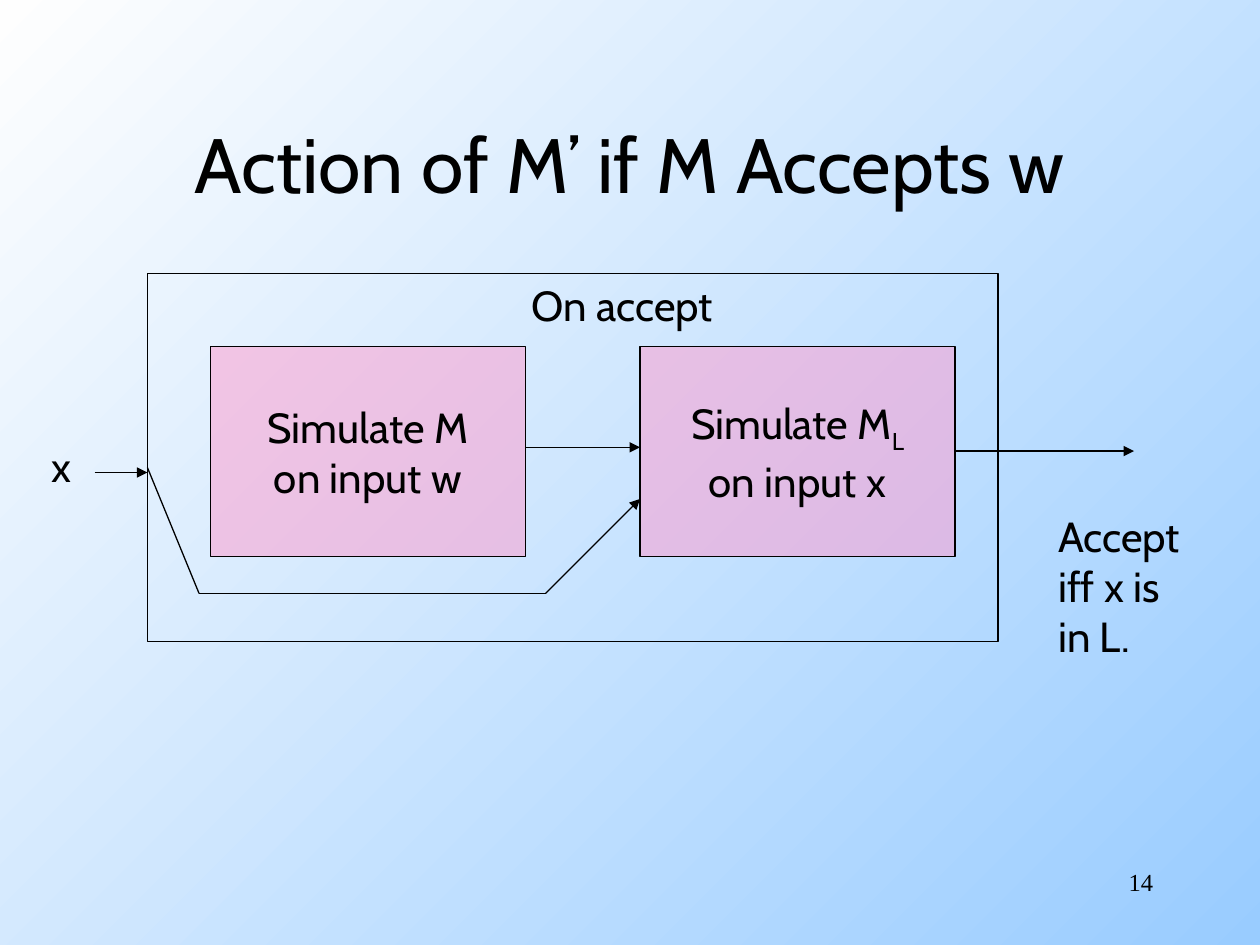
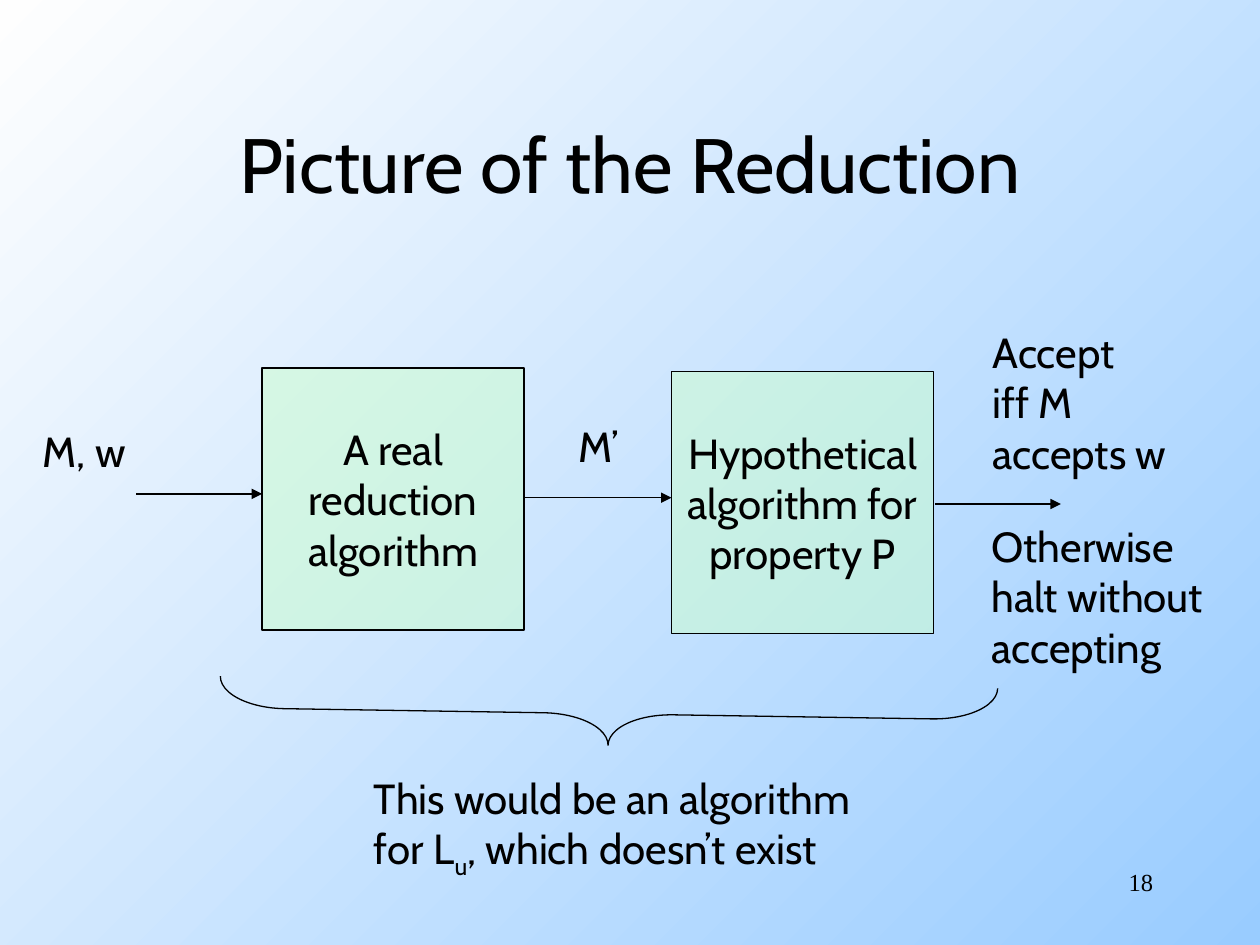
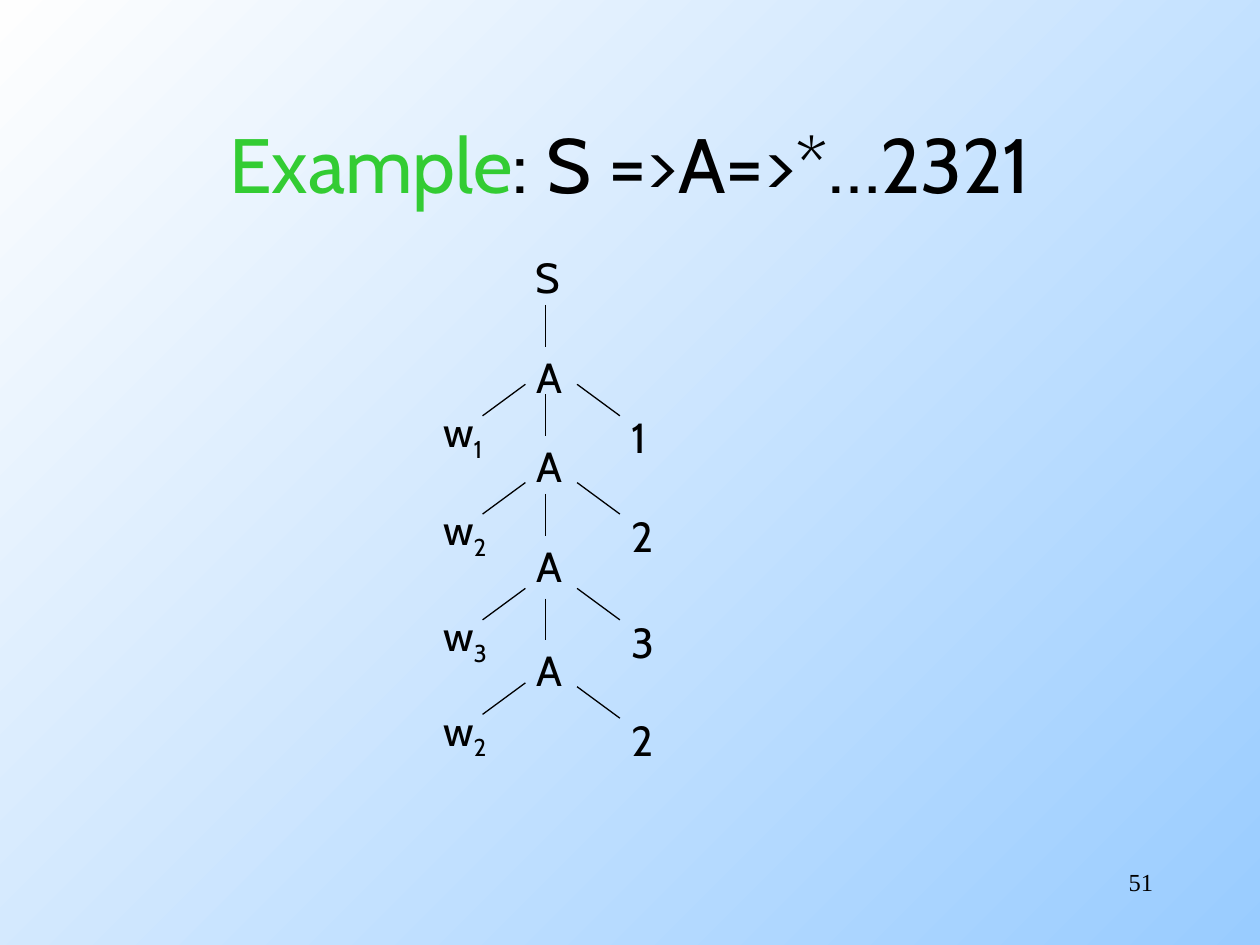
from lxml.etree import SubElement
from pptx import Presentation
from pptx.dml.color import RGBColor
from pptx.enum.shapes import MSO_CONNECTOR, MSO_SHAPE
from pptx.enum.text import MSO_ANCHOR, MSO_AUTO_SIZE, PP_ALIGN
from pptx.oxml.ns import qn
from pptx.util import Inches, Pt

theme = {
    "black": RGBColor.from_string("000000"),
    "green": RGBColor.from_string("33CC33"),
    "pink": RGBColor.from_string("FF99CC"),
    "mint": RGBColor.from_string("CCFFCC"),
    "blue": RGBColor.from_string("99CCFF"),
    "white": RGBColor.from_string("FEFEFE"),
    "line": Pt(0.75),
    "title": {"name": "Cabin", "size": Pt(44)},
    "body": {"name": "Cabin", "size": Pt(24)},
    "number": {"name": "Times New Roman", "size": Pt(14)},
}


def write(frame, text, style, align, **props):
    for key, value in props.items():
        setattr(frame, key, value)
    for i, row in enumerate(text.split("\n")):
        para = frame.paragraphs[0] if i == 0 else frame.add_paragraph()
        para.alignment = align
        first, *rest = row.split("_")
        parts = [(first, False)]
        for part in rest:
            parts += [(part[0], True), (part[1:], False)]
        for words, low in parts:
            if not words:
                continue
            run = para.add_run()
            run.text = words
            for key, value in theme[style].items():
                setattr(run.font, key, value)
            run.font.color.rgb = theme["black"]
            if low:
                run._r.get_or_add_rPr().set("baseline", "-25000")


def join(slide, ends, arrow):
    link = slide.shapes.add_connector(MSO_CONNECTOR.STRAIGHT, *map(Inches, ends))
    link.line.color.rgb = theme["black"]
    link.line.width = theme["line"]
    if arrow:
        SubElement(link.line._get_or_add_ln(), qn("a:tailEnd"), type="triangle")
    SubElement(link._element.spPr, qn("a:effectLst"))


accept = {
    "title": "Action of M’ if M Accepts w",
    "number": "14",
    "boxes": [
        (1.67, 2.75, 2.5, 1.67, "pink", "Simulate M\non input w"),
        (1.17, 2.17, 6.75, 2.92, None, ""),
        (5.08, 2.75, 2.5, 1.67, "pink", "Simulate M_L\non input x"),
    ],
    "labels": [
        (0.31, 3.45, 0.37, 0.5, "x"),
        (4.12, 2.17, 1.77, 0.5, "On accept"),
        (8.3, 4, 1.24, 1.3, "Accept\niff x is\nin L."),
    ],
    "arrows": [
        (0.75, 3.75, 1.17, 3.75),
        (4.17, 3.55, 5.08, 3.55),
        (4.33, 4.71, 5.08, 3.96),
        (7.58, 3.58, 9, 3.58),
    ],
    "lines": [(1.17, 3.71, 1.58, 4.71), (1.58, 4.71, 4.33, 4.71)],
}

reduce = {
    "title": "Picture of the Reduction",
    "number": "18",
    "boxes": [
        (2.08, 2.92, 2.08, 2.08, "mint", "A real\nreduction\nalgorithm"),
        (5.33, 2.95, 2.08, 2.08, "mint", "Hypothetical\nalgorithm for\nproperty P"),
    ],
    "labels": [
        (0.24, 3.33, 0.94, 0.5, "M, w"),
        (4.49, 3.29, 0.56, 0.5, "M’"),
        (7.78, 2.54, 1.73, 1.3, "Accept\niff M\naccepts w"),
        (7.77, 4.08, 2.09, 1.3, "Otherwise\nhalt without\naccepting"),
        (2.87, 6.08, 4.47, 0.96, "This would be an algorithm\nfor L_u, which doesn’t exist"),
    ],
    "arrows": [
        (1.08, 3.92, 2.08, 3.92),
        (4.17, 3.95, 5.33, 3.95),
        (7.42, 4, 8.42, 4),
    ],
    "lines": [],
}

tree = {
    "title": "Example: S =>A=>*…2321",
    "number": "51",
    "boxes": [],
    "labels": [(4.15, 1.95, 0.38, 0.5, "S")],
    "arrows": [],
    "lines": [],
}
levels = [
    (2.74, 3.05, 3.05, "1"),
    (3.45, 3.83, 3.83, "2"),
    (4.24, 4.67, 4.67, "3"),
    (5.07, 5.42, 5.45, "2"),
]
for top, left, right, digit in levels:
    tree["labels"] += [
        (4.16, top, 0.41, 0.5, "A"),
        (3.42, left + 0.12, 0.57, 0.56, "w_" + digit),
        (4.91, right + 0.17, 0.39, 0.5, digit),
    ]
    tree["lines"] += [
        (4.33, top - 0.32, 4.33, top + 0.01),
        (4.17, left, 3.83, left + 0.25),
        (4.58, right, 4.92, right + 0.25),
    ]

prs = Presentation()
prs.slide_width = Inches(10)
prs.slide_height = Inches(7.5)
back = prs.slide_master.background.fill
back.gradient()
back.gradient_angle = 135
for stop, tone in zip(back.gradient_stops, ("blue", "white")):
    stop.color.rgb = theme[tone]

for page in (accept, reduce, tree):
    slide = prs.slides.add_slide(prs.slide_layouts[5])
    shapes = slide.shapes
    head = shapes.title
    place = {"left": 0.75, "top": 0.67, "width": 8.5, "height": 1.25}
    for key, value in place.items():
        setattr(head, key, Inches(value))
    name, colon, rest = page["title"].partition(":")
    write(head.text_frame, name, "title", PP_ALIGN.CENTER,
          vertical_anchor=MSO_ANCHOR.MIDDLE, auto_size=MSO_AUTO_SIZE.NONE)
    if colon:
        para = head.text_frame.paragraphs[0]
        para.runs[0].font.color.rgb = theme["green"]
        run = para.add_run()
        run.text = colon + rest
        for key, value in theme["title"].items():
            setattr(run.font, key, value)
        run.font.color.rgb = theme["black"]

    for *area, tone, text in page["boxes"]:
        box = shapes.add_shape(MSO_SHAPE.RECTANGLE, *map(Inches, area))
        box.shadow.inherit = False
        if tone:
            box.fill.solid()
            box.fill.fore_color.rgb = theme[tone]
            tint = next(box._element.spPr.iter(qn("a:srgbClr")))
            SubElement(tint, qn("a:alpha"), val="50000")
        else:
            box.fill.background()
        box.line.color.rgb = theme["black"]
        box.line.width = theme["line"]
        write(box.text_frame, text, "body", PP_ALIGN.CENTER,
              vertical_anchor=MSO_ANCHOR.MIDDLE, word_wrap=False)

    for *area, text in page["labels"]:
        label = shapes.add_textbox(*map(Inches, area))
        write(label.text_frame, text, "body", PP_ALIGN.LEFT,
              word_wrap=False, auto_size=MSO_AUTO_SIZE.SHAPE_TO_FIT_TEXT)

    for kind in ("arrows", "lines"):
        for ends in page[kind]:
            join(slide, ends, kind == "arrows")

    if page is reduce:
        brace = shapes.add_shape(MSO_SHAPE.LEFT_BRACE, *map(Inches, (4.58, 2.58, 0.5, 6.17)))
        brace.shadow.inherit = False
        brace.rotation = 270.9
        brace.adjustments[0] = 1.03
        brace.adjustments[1] = 0.5
        brace.fill.background()
        brace.line.color.rgb = theme["black"]
        brace.line.width = theme["line"]

    foot = shapes.add_textbox(*map(Inches, (7.17, 6.83, 2.08, 0.5)))
    write(foot.text_frame, page["number"], "number", PP_ALIGN.RIGHT, word_wrap=True)

prs.save("out.pptx")
